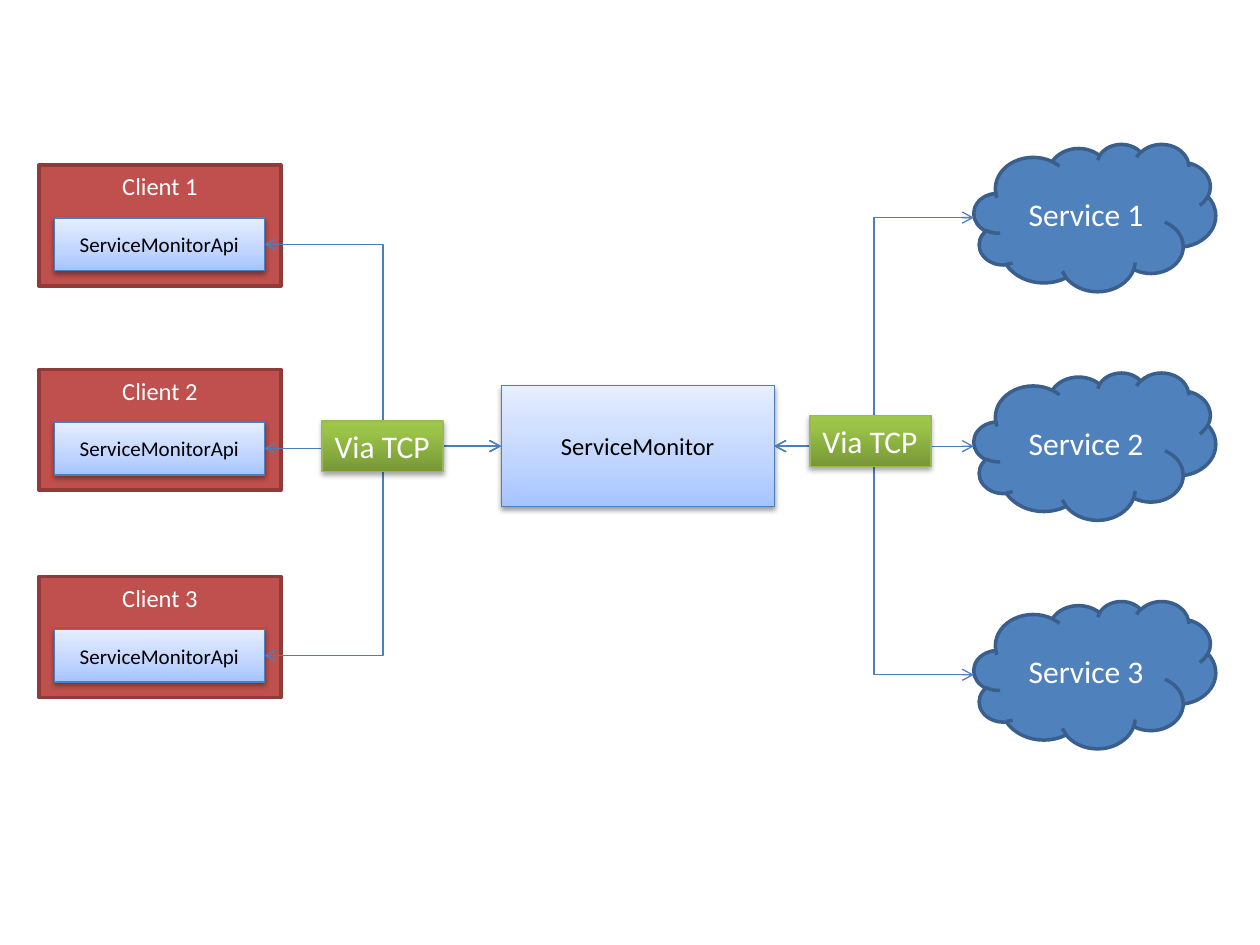
from dataclasses import dataclass

from lxml.etree import SubElement
from pptx import Presentation
from pptx.dml.color import RGBColor
from pptx.enum.shapes import MSO_CONNECTOR as Connector, MSO_SHAPE as Shape
from pptx.enum.text import MSO_ANCHOR as Anchor, MSO_AUTO_SIZE as AutoSize, PP_ALIGN as Align
from pptx.oxml.ns import qn
from pptx.util import Pt


@dataclass(frozen=True)
class Style:
    """Looks of one kind of box; fill is a colour or a list of (percent, colour)."""
    fill: object
    line: str
    line_width: float
    text: str
    size: float
    shadow: tuple = ()  # opacity percent, distance


class Theme:
    """Colours and type sizes of the slide."""
    font = "Calibri"
    wire, wire_width = "4B7EBC", 0.75
    pale_blue = [(0, "A4C4FF"), (35, "BFD4FF"), (100, "E6EEFF")]
    green = [(0, "779737"), (80, "9BC348"), (100, "9DC746")]
    client = Style("C0504D", "8E3B39", 2, "FFFFFF", 14)
    api = Style(pale_blue, wire, 0.75, "000000", 12, (38, 1.6))
    monitor = Style(pale_blue, wire, 0.75, "000000", 14, (38, 1.6))
    service = Style("4F81BD", "3A5F8C", 2, "FFFFFF", 18)
    protocol = Style(green, "98B955", 0.75, "FFFFFF", 18, (35, 1.8))


def color(value):
    """Turn a hex string into a colour."""
    return RGBColor.from_string(value)


def fill_gradient(box, stops):
    """Fill a box with a gradient running from bottom to top."""
    box.fill.gradient()
    box.fill.gradient_angle = 90
    stop_list = box._element.spPr.find(qn("a:gradFill")).find(qn("a:gsLst"))
    for old in list(stop_list):
        stop_list.remove(old)
    for percent, value in stops:
        stop = SubElement(stop_list, qn("a:gs"), pos=str(percent * 1000))
        SubElement(stop, qn("a:srgbClr"), val=value)


def add_shadow(box, opacity, distance):
    """Put a soft shadow below a box."""
    effects = box._element.spPr.find(qn("a:effectLst"))
    shadow = SubElement(effects, qn("a:outerShdw"), blurRad=str(Pt(3.1)),
                        dist=str(Pt(distance)), dir="5400000", rotWithShape="0")
    black = SubElement(shadow, qn("a:srgbClr"), val="000000")
    SubElement(black, qn("a:alpha"), val=str(opacity * 1000))


def add_box(page, text, place, style, kind=Shape.RECTANGLE,
            anchor=Anchor.MIDDLE, align=Align.CENTER):
    """Add a labelled shape at (left, top, width, height)."""
    box = page.shapes.add_shape(kind, *map(Pt, place))
    if isinstance(style.fill, str):
        box.fill.solid()
        box.fill.fore_color.rgb = color(style.fill)
    else:
        fill_gradient(box, style.fill)
    box.line.color.rgb = color(style.line)
    box.line.width = Pt(style.line_width)
    box.shadow.inherit = False
    if style.shadow:
        add_shadow(box, *style.shadow)
    frame = box.text_frame
    frame.word_wrap = True
    frame.vertical_anchor = anchor
    para = frame.paragraphs[0]
    para.alignment = align
    span = para.add_run()
    span.text = text
    span.font.name, span.font.size = Theme.font, Pt(style.size)
    span.font.color.rgb = color(style.text)
    return box


def add_client(page, number, top):
    """Add a client with its API box and return the API box."""
    add_box(page, f"Client {number}", (22.3, top, 138.2, 69.1), Theme.client,
            anchor=Anchor.TOP)
    return add_box(page, "ServiceMonitorApi", (31, top + 30.1, 120.2, 30.2), Theme.api)


def add_protocol(page, left, top):
    """Add a protocol tag that fits its text."""
    tag = add_box(page, "Via TCP", (left, top, 69.1, 29.1), Theme.protocol,
                  anchor=Anchor.TOP, align=Align.LEFT)
    tag.text_frame.word_wrap = False
    tag.text_frame.auto_size = AutoSize.SHAPE_TO_FIT_TEXT


def link(page, source, target):
    """Join the right side of source to the left side of target, arrows at both ends."""
    wire = page.shapes.add_connector(
        Connector.ELBOW,
        source.left + source.width, source.top + source.height // 2,
        target.left, target.top + target.height // 2)
    wire.line.color.rgb = color(Theme.wire)
    wire.line.width = Pt(Theme.wire_width)
    properties = wire._element.spPr
    for end in ("a:headEnd", "a:tailEnd"):
        SubElement(properties.find(qn("a:ln")), qn(end), type="arrow")
    SubElement(properties, qn("a:effectLst"))


def main():
    """Build the deck."""
    deck = Presentation()
    deck.slide_width, deck.slide_height = Pt(720), Pt(540)
    page = deck.slides.add_slide(deck.slide_layouts[6])

    apis = [add_client(page, number, top)
            for number, top in enumerate((94.4, 211.1, 329.5), 1)]
    monitor = add_box(page, "ServiceMonitor", (286.4, 220.4, 156, 69.1), Theme.monitor)
    services = [add_box(page, f"Service {row + 1}", (556.5, 82.3 + 130.6 * row, 138.2, 84.2),
                        Theme.service, Shape.CLOUD) for row in range(3)]

    for api in apis:
        link(page, api, monitor)
    for service in services:
        link(page, monitor, service)
    add_protocol(page, 184.1, 240.5)
    add_protocol(page, 462.9, 237.6)
    deck.save("out.pptx")


main()
